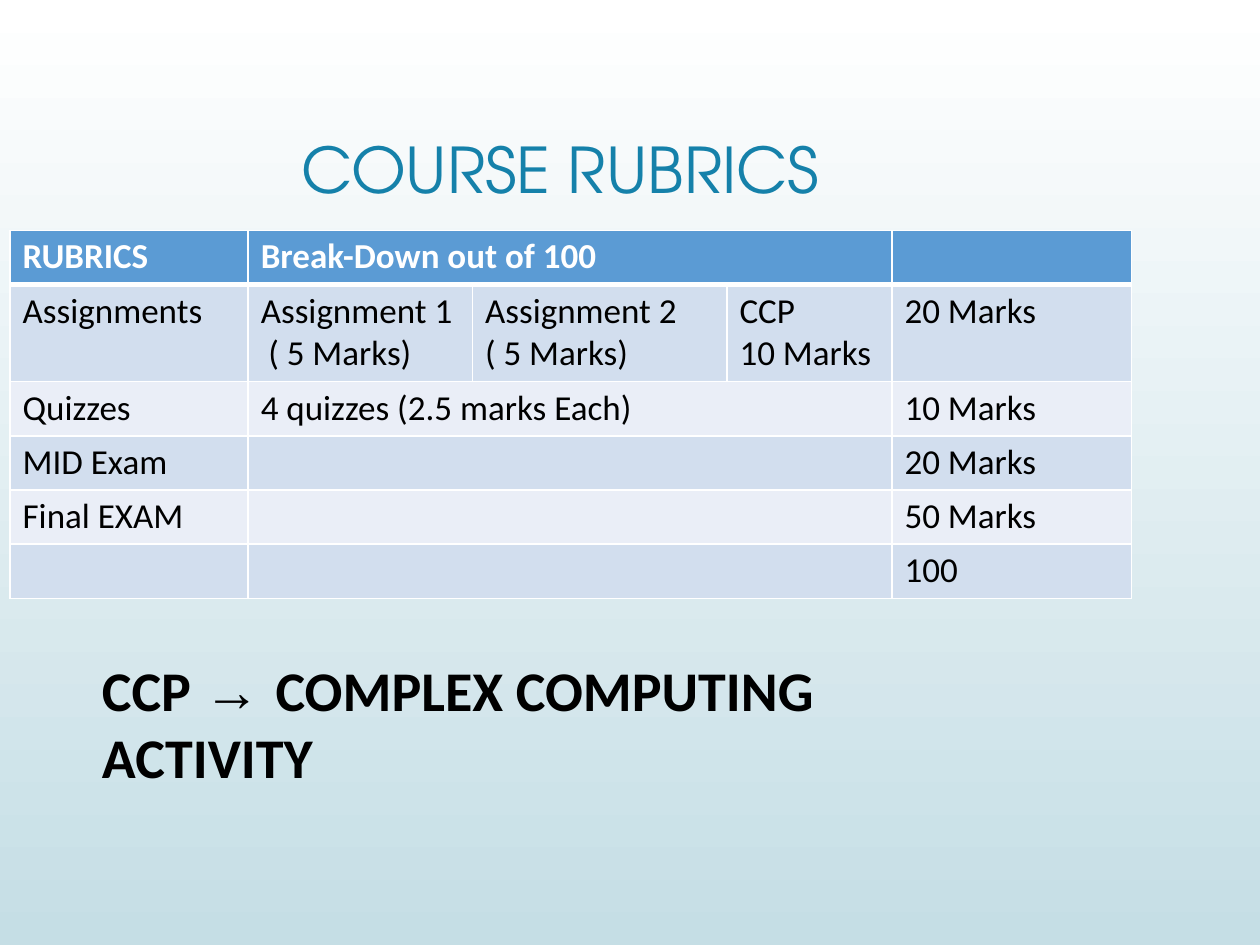
"""Build the course rubrics slide."""
from dataclasses import dataclass

from lxml.etree import SubElement
from pptx import Presentation
from pptx.dml.color import RGBColor
from pptx.oxml.ns import qn
from pptx.util import Inches, Pt


@dataclass(frozen=True)
class Theme:
    background_top: str = "FFFFFF"
    background_bottom: str = "C5DEE5"
    title: str = "1581AA"
    text: str = "000000"
    header_text: str = "FFFFFF"
    header: str = "5B9BD4"
    bands: tuple = ("EAEEF7", "D2DEEE")
    border: str = "FFFFFF"
    title_font: str = "TeX Gyre Adventor"
    body_font: str = "Calibri"
    arrow_font: str = "Arial"
    title_size: int = 36
    table_size: int = 20
    note_size: int = 32


class RubricSlide:
    def __init__(self, deck, theme):
        self.theme = theme
        self.page = deck.slides.add_slide(deck.slide_layouts[6])

    def background(self):
        fill = self.page.background.fill
        fill.gradient()
        fill.gradient_angle = 270
        colors = (self.theme.background_top, self.theme.background_bottom)
        for stop, color in zip(fill.gradient_stops, colors):
            stop.color.rgb = RGBColor.from_string(color)

    def style(self, para, font, size, color, bold=False):
        para.font.name = font
        para.font.size = Pt(size)
        para.font.bold = bold
        para.font.color.rgb = RGBColor.from_string(color)

    def text_box(self, left, top, width, height, inset_left, inset_top):
        box = self.page.shapes.add_textbox(
            Inches(left), Inches(top), Inches(width), Inches(height))
        frame = box.text_frame
        frame.word_wrap = True
        frame.margin_left, frame.margin_top = Inches(inset_left), Inches(inset_top)
        frame.margin_right = frame.margin_bottom = 0
        return frame.paragraphs[0]

    def title(self, text):
        para = self.text_box(2.13, 0.68, 7.21, 1.4, 0.26, 0.36)
        para.text = text
        self.style(para, self.theme.title_font, self.theme.title_size, self.theme.title)

    def note(self, term, arrow, meaning):
        theme = self.theme
        para = self.text_box(0.8, 5.18, 7.43, 0.57, 0.01, 0.02)
        self.style(para, theme.body_font, theme.note_size, theme.text, True)
        for text in (term, arrow, meaning):
            span = para.add_run()
            span.text = text
            if text == arrow:
                span.font.name = theme.arrow_font
                span.font.bold = False

    def borders(self, cell, row):
        properties = cell._tc.get_or_add_tcPr()
        widths = {"L": 1, "R": 1, "T": 3 if row == 1 else 1, "B": 3 if row == 0 else 1}
        for side, width in widths.items():
            line = SubElement(properties, qn(f"a:ln{side}"), w=str(Pt(width)))
            fill = SubElement(line, qn("a:solidFill"))
            SubElement(fill, qn("a:srgbClr"), val=self.theme.border)

    def cell(self, cell, row, text):
        theme = self.theme
        self.borders(cell, row)
        cell.fill.solid()
        color = theme.bands[row % 2] if row else theme.header
        cell.fill.fore_color.rgb = RGBColor.from_string(color)
        cell.margin_left, cell.margin_top = Inches(0.1), Inches(0.04)
        cell.margin_right = cell.margin_bottom = 0
        cell.text = text
        for para in cell.text_frame.paragraphs:
            self.style(para, theme.body_font, theme.table_size,
                       theme.text if row else theme.header_text, row == 0)

    def table(self, left, top, widths, heights, rows, split_row):
        table = self.page.shapes.add_table(
            len(heights), len(widths), Inches(left), Inches(top),
            Inches(sum(widths)), Inches(sum(heights))).table
        for column, width in zip(table.columns, widths):
            column.width = Inches(width)
        for table_row, height in zip(table.rows, heights):
            table_row.height = Inches(height)
        for row, texts in enumerate(rows):
            for column, text in enumerate(texts):
                self.cell(table.cell(row, column), row, text)
            if row != split_row:
                table.cell(row, 1).merge(table.cell(row, 3))
        return table

    def indent(self, para, width):
        para._p.get_or_add_pPr().set("marL", str(Inches(width)))


def main():
    deck = Presentation()
    deck.slide_width, deck.slide_height = Inches(10), Inches(7.5)
    slide = RubricSlide(deck, Theme())
    slide.background()
    slide.title("COURSE RUBRICS")
    rows = [
        ("RUBRICS", "Break-Down out of 100", "", "", ""),
        ("Assignments", "Assignment 1\n( 5 Marks)", "Assignment 2\n( 5 Marks)",
         "CCP\n10 Marks", "20 Marks"),
        ("Quizzes", "4 quizzes (2.5 marks Each)", "", "", "10 Marks"),
        ("MID Exam", "", "", "", "20 Marks"),
        ("Final EXAM", "", "", "", "50 Marks"),
        ("", "", "", "", "100"),
    ]
    table = slide.table(0.08, 1.83, [1.89, 1.78, 2.02, 1.31, 1.9],
                        [0.43, 0.77] + [0.43] * 4, rows, split_row=1)
    slide.indent(table.cell(1, 1).text_frame.paragraphs[1], 0.06)
    slide.note("CCP ", "→ ", "COMPLEX COMPUTING ACTIVITY")
    deck.save("out.pptx")


if __name__ == "__main__":
    main()
